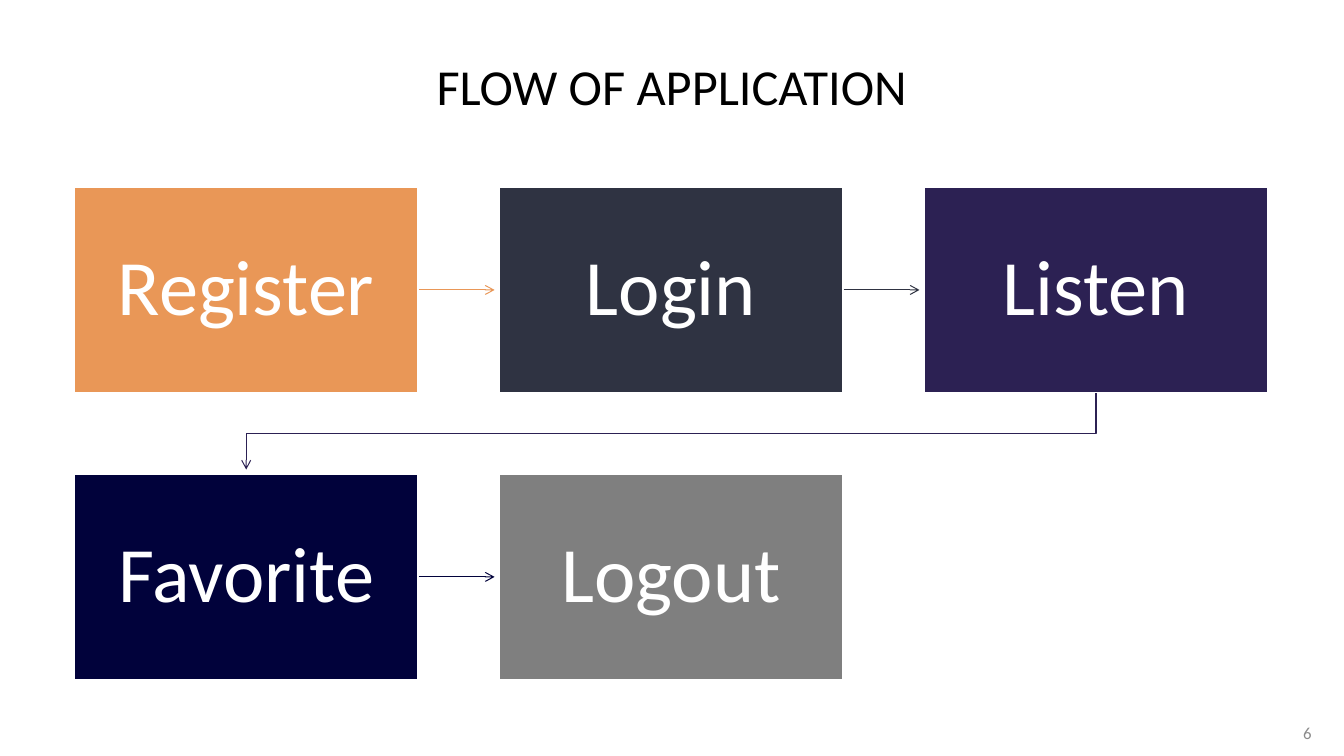
from dataclasses import dataclass

from lxml.etree import SubElement
from pptx import Presentation
from pptx.dml.color import RGBColor
from pptx.enum.shapes import MSO_CONNECTOR, MSO_SHAPE
from pptx.enum.text import MSO_ANCHOR, PP_ALIGN
from pptx.oxml.ns import qn
from pptx.util import Pt


@dataclass(frozen=True)
class Theme:
    font: str = "Calibri"
    white: str = "FFFFFF"
    black: str = "000000"
    orange: str = "E99757"
    slate: str = "2F3342"
    purple: str = "2C2153"
    navy: str = "01023B"
    gray: str = "7F7F7F"
    page_gray: str = "8B8B8B"
    title_size: int = 36
    step_size: int = 56
    page_size: int = 12


THEME = Theme()
STEPS = [
    ("Register", THEME.orange),
    ("Login", THEME.slate),
    ("Listen", THEME.purple),
    ("Favorite", THEME.navy),
    ("Logout", THEME.gray),
]
COLUMNS = 3
GRID_LEFT, GRID_TOP = 52.6, 133.2
BOX_WIDTH, BOX_HEIGHT = 246.6, 147.8
COLUMN_PITCH, ROW_PITCH = 303.5, 205
ARROW_GAP = 2.8


def color(value):
    return RGBColor.from_string(value)


def set_frame(frame, inset_x, inset_y):
    frame.word_wrap = True
    frame.vertical_anchor = MSO_ANCHOR.MIDDLE
    frame.margin_left = frame.margin_right = Pt(inset_x)
    frame.margin_top = frame.margin_bottom = Pt(inset_y)


def set_text(paragraph, text, size, text_color, alignment):
    paragraph.text = text
    paragraph.alignment = alignment
    paragraph.font.name = THEME.font
    paragraph.font.size = Pt(size)
    paragraph.font.color.rgb = color(text_color)


def add_label(slide, bounds, text, size, text_color, alignment):
    shape = slide.shapes.add_textbox(*map(Pt, bounds))
    set_frame(shape.text_frame, 7.2, 3.6)
    set_text(shape.text_frame.paragraphs[0], text, size, text_color, alignment)


def step_position(index):
    row, column = divmod(index, COLUMNS)
    return GRID_LEFT + column * COLUMN_PITCH, GRID_TOP + row * ROW_PITCH


def add_step(slide, index, text, fill):
    left, top = step_position(index)
    shape = slide.shapes.add_shape(
        MSO_SHAPE.RECTANGLE, Pt(left), Pt(top), Pt(BOX_WIDTH), Pt(BOX_HEIGHT))
    shape.shadow.inherit = False
    shape.fill.solid()
    shape.fill.fore_color.rgb = color(fill)
    shape.line.color.rgb = color(THEME.white)
    shape.line.width = Pt(2)
    set_frame(shape.text_frame, 31, 31)
    paragraph = shape.text_frame.paragraphs[0]
    paragraph.line_spacing = 0.9
    paragraph.space_after = Pt(19.6)
    set_text(paragraph, text, THEME.step_size, THEME.white, PP_ALIGN.CENTER)
    return shape


def style_arrow(line, line_color):
    line.color.rgb = color(line_color)
    line.width = Pt(0.75)
    SubElement(line._get_or_add_ln(), qn("a:tailEnd"), type="arrow")


def add_straight_arrow(slide, box, index, line_color):
    """Draw an arrow from a box to just before the next one in its row."""
    left, top = step_position(index)
    middle = top + BOX_HEIGHT / 2
    connector = slide.shapes.add_connector(
        MSO_CONNECTOR.STRAIGHT, Pt(left + BOX_WIDTH), Pt(middle),
        Pt(left + COLUMN_PITCH - ARROW_GAP), Pt(middle))
    connector.begin_connect(box, 3)
    style_arrow(connector.line, line_color)
    SubElement(connector._element.spPr, qn("a:effectLst"))


def add_row_arrow(slide, index, line_color):
    """Draw a bent arrow from the end of a row to the start of the next one."""
    start_left, start_top = step_position(index)
    end_left, end_top = step_position(index + 1)
    start_x, end_x = start_left + BOX_WIDTH / 2, end_left + BOX_WIDTH / 2
    start_y = start_top + BOX_HEIGHT
    middle_y = (start_y + end_top) / 2
    points = [(start_x, middle_y), (end_x, middle_y), (end_x, end_top - ARROW_GAP)]
    builder = slide.shapes.build_freeform(Pt(start_x), Pt(start_y))
    builder.add_line_segments([(Pt(x), Pt(y)) for x, y in points], close=False)
    shape = builder.convert_to_shape()
    shape.shadow.inherit = False
    shape.fill.background()
    style_arrow(shape.line, line_color)


def main():
    presentation = Presentation()
    presentation.slide_width, presentation.slide_height = Pt(960), Pt(540)
    slide = presentation.slides.add_slide(presentation.slide_layouts[6])

    add_label(slide, (46.8, 28.8, 866.2, 64.8), "FLOW OF APPLICATION",
              THEME.title_size, THEME.black, PP_ALIGN.CENTER)
    for index, (text, fill) in enumerate(STEPS):
        box = add_step(slide, index, text, fill)
        if index == len(STEPS) - 1:
            continue
        if (index + 1) % COLUMNS:
            add_straight_arrow(slide, box, index, fill)
        else:
            add_row_arrow(slide, index, fill)
    add_label(slide, (909.4, 509, 34.6, 28.8), "6",
              THEME.page_size, THEME.page_gray, PP_ALIGN.RIGHT)

    presentation.save("out.pptx")


if __name__ == "__main__":
    main()
